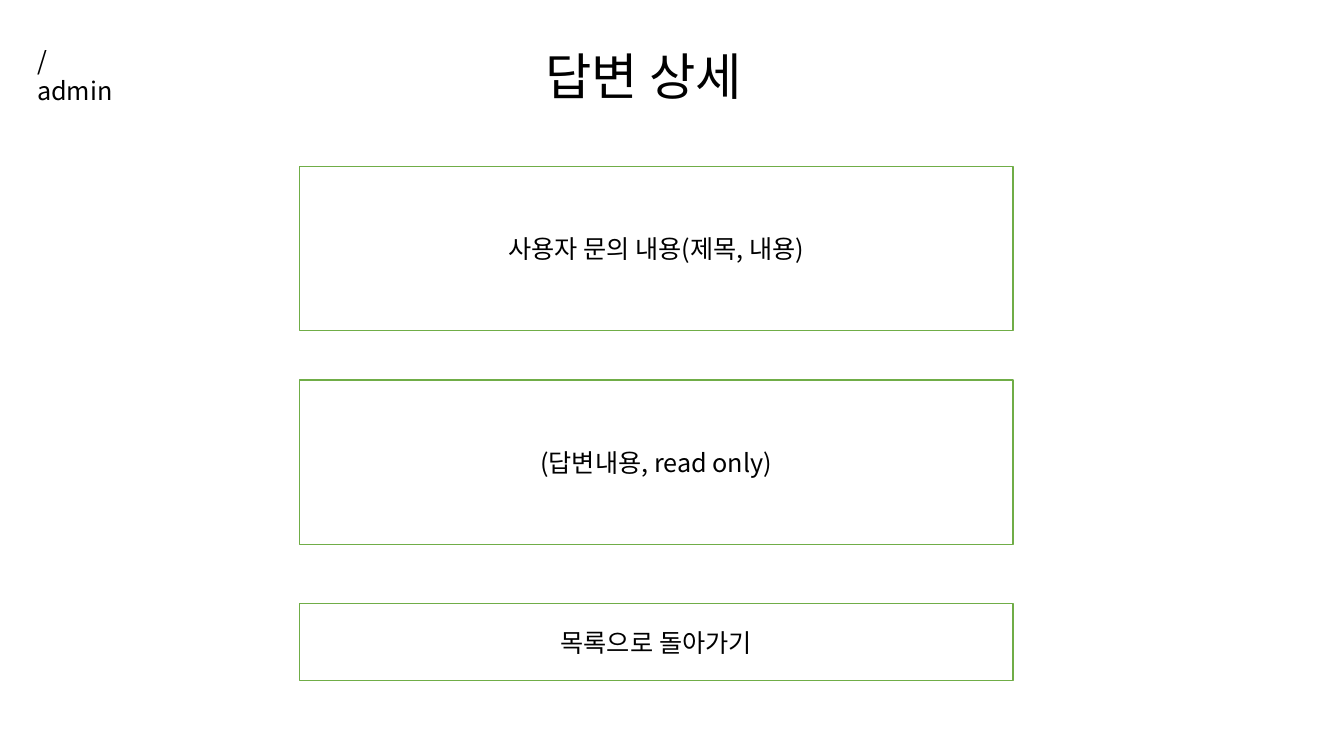
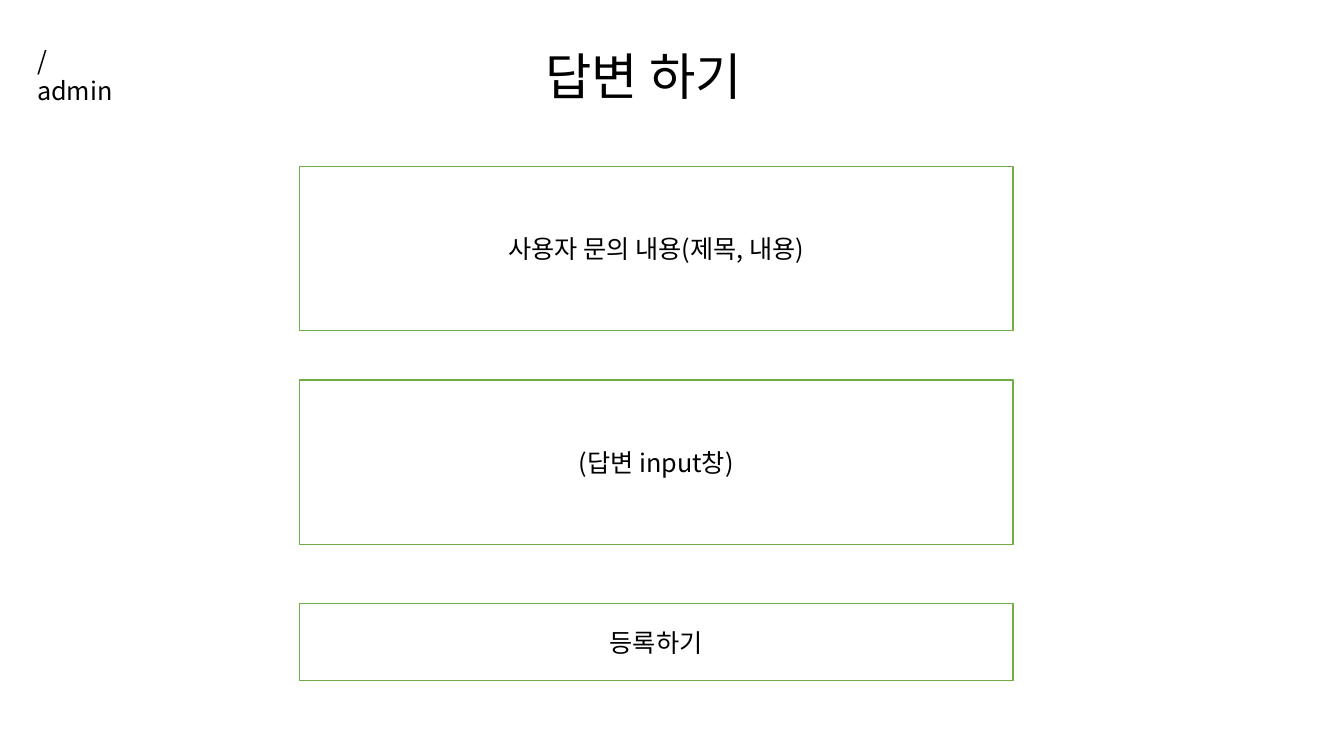
from dataclasses import dataclass

import pptx
import pptx.dml.color
import pptx.enum.shapes
import pptx.enum.text
import pptx.oxml.ns
import pptx.util
from lxml import etree

Pt = pptx.util.Pt

# Shared style
FONT = "Noto Sans CJK KR"
BLACK, WHITE, GREEN = "000000", "FFFFFF", "70AD47"
TITLE_SIZE, BODY_SIZE = 36, 18
ROUTE = "/admin"


@dataclass(frozen=True)
class Area:
    left: float
    top: float
    width: float
    height: float


@dataclass(frozen=True)
class Screen:
    title: str
    inquiry: str
    answer: str
    button: str


# Shared layout, in points
TITLE_AREA = Area(382.3, 28.8, 172.8, 51.1)
ROUTE_AREA = Area(19.4, 28.8, 73.4, 28.8)
PANEL_LEFT, PANEL_WIDTH, PANEL_HEIGHT = 213.8, 509.8, 117.4
INQUIRY_AREA = Area(PANEL_LEFT, 118.8, PANEL_WIDTH, PANEL_HEIGHT)
ANSWER_AREA = Area(PANEL_LEFT, 271.4, PANEL_WIDTH, PANEL_HEIGHT)
BUTTON_AREA = Area(PANEL_LEFT, 431.3, PANEL_WIDTH, 54.7)

INQUIRY = "사용자 문의 내용(제목, 내용)"
SCREENS = [
    Screen("답변 상세", INQUIRY, "(답변내용, read only)", "목록으로 돌아가기"),
    Screen("답변 하기", INQUIRY, "(답변 input창)", "등록하기"),
]


def color(value: str) -> pptx.dml.color.RGBColor:
    return pptx.dml.color.RGBColor.from_string(value)


def bounds(area: Area) -> tuple:
    return Pt(area.left), Pt(area.top), Pt(area.width), Pt(area.height)


def write(shape, text: str, size: float, align, anchor) -> None:
    frame = shape.text_frame
    frame.word_wrap = True
    frame.vertical_anchor = anchor
    frame.text = text
    paragraph = frame.paragraphs[0]
    paragraph.alignment = align
    for run in paragraph.runs:
        run.font.name = FONT
        run.font.size = Pt(size)
        run.font.color.rgb = color(BLACK)
        # Korean letters take their font from a:ea
        east_asian = etree.SubElement(run.font._element, pptx.oxml.ns.qn("a:ea"))
        east_asian.set("typeface", FONT)


def add_label(slide, text: str, area: Area, size: float) -> None:
    label = slide.shapes.add_textbox(*bounds(area))
    write(label, text, size, pptx.enum.text.PP_ALIGN.LEFT,
          pptx.enum.text.MSO_ANCHOR.TOP)


def add_panel(slide, text: str, area: Area) -> None:
    panel = slide.shapes.add_shape(
        pptx.enum.shapes.MSO_SHAPE.RECTANGLE, *bounds(area))
    panel.shadow.inherit = False
    panel.fill.solid()
    panel.fill.fore_color.rgb = color(WHITE)
    panel.line.color.rgb = color(GREEN)
    panel.line.width = Pt(1)
    write(panel, text, BODY_SIZE, pptx.enum.text.PP_ALIGN.CENTER,
          pptx.enum.text.MSO_ANCHOR.MIDDLE)


def add_screen(deck, screen: Screen) -> None:
    slide = deck.slides.add_slide(deck.slide_layouts[6])
    # Header
    add_label(slide, screen.title, TITLE_AREA, TITLE_SIZE)
    add_label(slide, ROUTE, ROUTE_AREA, BODY_SIZE)
    # Panels
    add_panel(slide, screen.inquiry, INQUIRY_AREA)
    add_panel(slide, screen.answer, ANSWER_AREA)
    add_panel(slide, screen.button, BUTTON_AREA)


def main() -> None:
    deck = pptx.Presentation()
    deck.slide_width, deck.slide_height = Pt(960), Pt(540)
    for screen in SCREENS:
        add_screen(deck, screen)
    deck.save("out.pptx")


if __name__ == "__main__":
    main()
